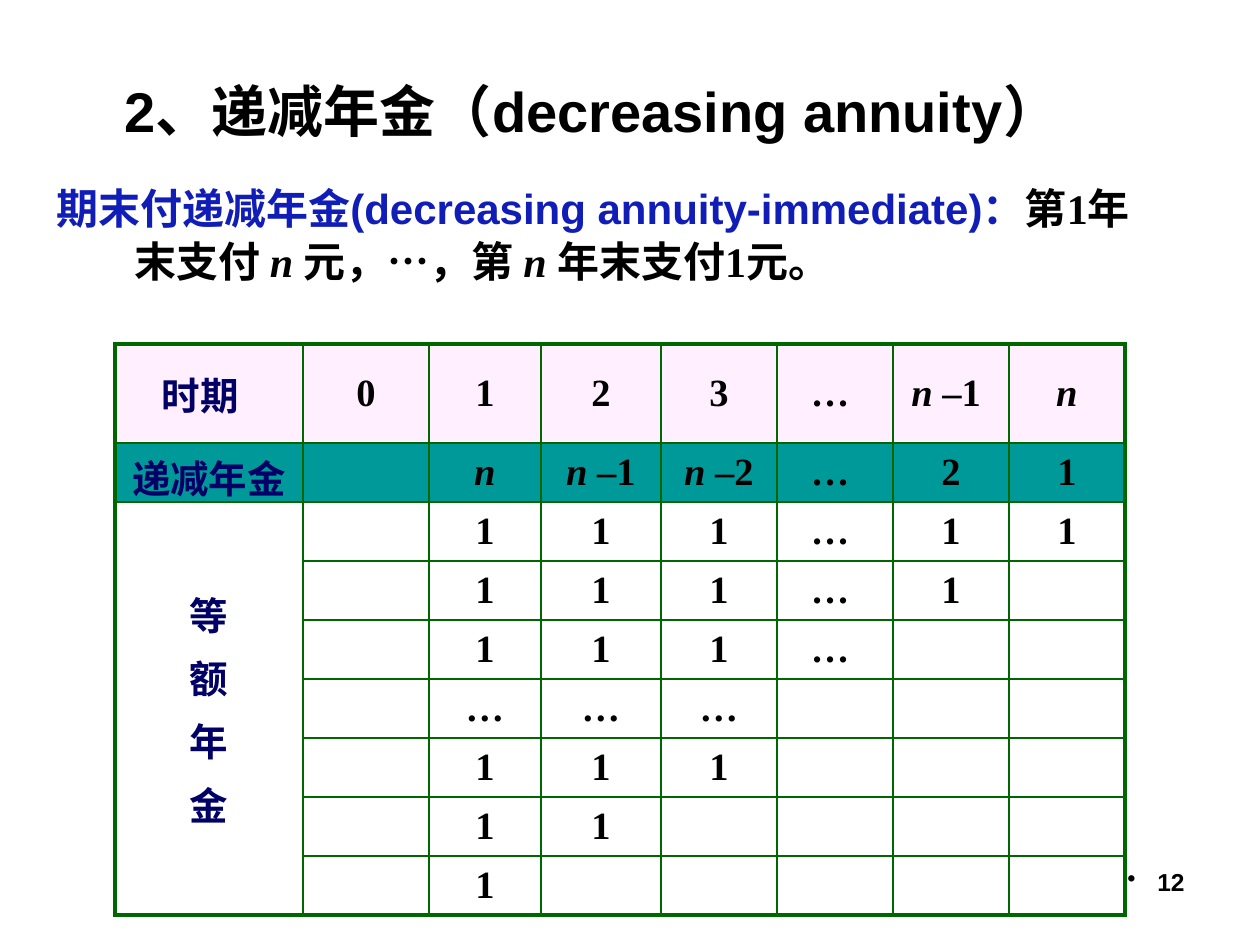
from lxml.etree import SubElement
from pptx import Presentation
from pptx.dml.color import RGBColor
from pptx.enum.text import MSO_ANCHOR as ANCHOR, PP_ALIGN as ALIGN
from pptx.oxml.ns import qn
from pptx.util import Emu, Pt

PX = 914400 / 126
TIMES, ARIAL = "Times New Roman", "Arial"
BLACK, NAVY, BLUE, GREEN = "000000", "000066", "111DB7", "006600"
PINK, TEAL = "FFEFFF", "009999"


def px(*lengths):
    """Turn pixel lengths into EMU."""
    return [Emu(round(length * PX)) for length in lengths]


def add_text(paragraph, text, size=22, font=TIMES, color=BLACK, italic=False,
             align=None, before=None):
    """Append a bold run; before is the space above in percent of a line."""
    run = paragraph.add_run()
    run.text = text
    run.font.size, run.font.name = Pt(size), font
    run.font.bold, run.font.italic = True, italic
    run.font.color.rgb = RGBColor.from_string(color)
    if align is not None:
        paragraph.alignment = align
    if before is not None:
        paragraph.space_before = Pt(0)
        spacing = paragraph._p.pPr.find(qn("a:spcBef"))
        spacing.remove(spacing[0])
        SubElement(spacing, qn("a:spcPct"), val=str(before * 1000))


presentation = Presentation()
presentation.slide_width, presentation.slide_height = px(1260, 945)
slide = presentation.slides.add_slide(presentation.slide_layouts[5])

# Title
title = slide.shapes.title
title.left, title.top, title.width, title.height = px(64, 76, 1040, 59)
title.text_frame.vertical_anchor = ANCHOR.TOP
title.text_frame.margin_top = title.text_frame.margin_bottom = 0
add_text(title.text_frame.paragraphs[0], " 2、递减年金（decreasing annuity）",
         size=32, font=ARIAL, align=ALIGN.CENTER)

# Definition with a hanging indent
definition = slide.shapes.add_textbox(*px(44, 174, 1134, 139))
definition.text_frame.word_wrap = True
paragraph = definition.text_frame.paragraphs[0]
paragraph.line_spacing = 1.05
indent = px(78)[0]
properties = paragraph._p.get_or_add_pPr()
properties.set("marL", str(indent))
properties.set("indent", str(-indent))
for text, style in [
    ("期末付递减年金", {"color": BLUE}),
    ("(decreasing annuity-immediate)", {"color": BLUE, "font": ARIAL}),
    ("：", {"color": BLUE}),
    ("第1年末支付 ", {}),
    ("n ", {"italic": True}),
    ("元，…，第 ", {}),
    ("n ", {"italic": True}),
    ("年末支付1元。", {}),
]:
    add_text(paragraph, text, size=24, before=20, **style)

# Payment table
rows = [
    ["时期  ", "0", "1", "2", "3", "… ", "n –1 ", "n"],
    ["递减年金", "", "n", "n –1", "n –2", "… ", "2", "1"],
    ["等\n额\n年\n金", "", "1", "1", "1", "… ", "1", "1"],
    ["", "", "1", "1", "1", "… ", "1", ""],
    ["", "", "1", "1", "1", "… ", "", ""],
    ["", "", "…", "…", "…", "", "", ""],
    ["", "", "1", "1", "1", "", "", ""],
    ["", "", "1", "1", "", "", "", ""],
    ["", "", "1", "", "", "", "", ""],
]
column_widths = [188, 126, 112, 120, 116, 116, 116, 116]
row_heights = [99] + [59] * 8
last_row, last_column = len(rows) - 1, len(column_widths) - 1
table = slide.shapes.add_table(
    len(rows), len(column_widths),
    *px(115, 344, sum(column_widths), sum(row_heights))).table
table.first_row = table.horz_banding = False
for column, width in zip(table.columns, px(*column_widths)):
    column.width = width
for row, height in zip(table.rows, px(*row_heights)):
    row.height = height
table.cell(2, 0).merge(table.cell(last_row, 0))

for r, row in enumerate(rows):
    for c, text in enumerate(row):
        cell = table.cell(r, c)
        cell.vertical_anchor = ANCHOR.MIDDLE
        outer = {"a:lnL": c == 0, "a:lnR": c == last_column, "a:lnT": r == 0,
                 "a:lnB": r == last_row or cell.is_merge_origin}
        for tag, is_outer in outer.items():
            line = SubElement(cell._tc.get_or_add_tcPr(), qn(tag),
                              w=str(Pt(2.25 if is_outer else 1)))
            SubElement(SubElement(line, qn("a:solidFill")), qn("a:srgbClr"), val=GREEN)
        if r < 2:
            cell.fill.solid()
            cell.fill.fore_color.rgb = RGBColor.from_string([PINK, TEAL][r])
        else:
            cell.fill.background()
        if not text:
            continue
        for number, part in enumerate(text.split("\n")):
            frame = cell.text_frame
            paragraph = frame.add_paragraph() if number else frame.paragraphs[0]
            variable = "n" if part.startswith("n") else ""
            for piece in (variable, part[len(variable):]):
                if piece:
                    add_text(paragraph, piece, color=BLACK if c else NAVY,
                             italic=piece == "n", align=ALIGN.CENTER, before=20)

# Bulleted page number
page_number = slide.shapes.add_textbox(*px(903, 861, 294, 66))
page_number.text_frame.word_wrap = True
paragraph = page_number.text_frame.paragraphs[0]
add_text(paragraph, "12", size=14, font=ARIAL, align=ALIGN.RIGHT)
indent = px(30)[0]
properties = paragraph._p.get_or_add_pPr()
properties.set("marL", str(indent))
properties.set("indent", str(-indent))
SubElement(properties, qn("a:buChar"), char="•")

presentation.save("out.pptx")
